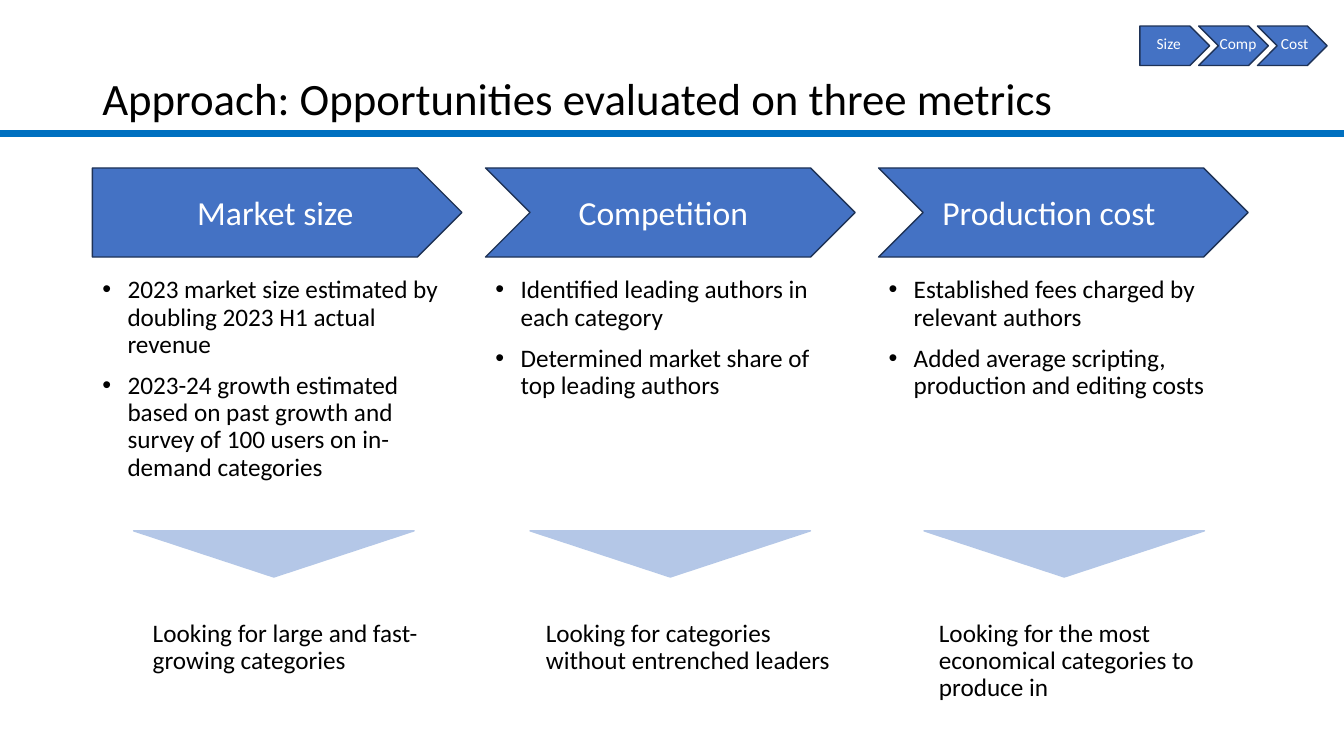
from collections import namedtuple

from lxml.etree import SubElement
from pptx import Presentation
from pptx.dml.color import RGBColor
from pptx.enum.shapes import MSO_CONNECTOR, MSO_SHAPE
from pptx.enum.text import MSO_ANCHOR
from pptx.oxml.ns import qn
from pptx.util import Inches, Pt

COLORS = {
    "rule": "0070C0",
    "step": "4472C4",
    "step_edge": "1E3256",
    "funnel": "B4C7E7",
    "ink": "000000",
    "label": "FFFFFF",
}
FONT = "Calibri"
COLUMNS, ROWS = 160, 90
CELL = Inches(7.5) / ROWS

Box = namedtuple("Box", "col row cols rows")
Metric = namedtuple("Metric", "name short methods goal name_col short_col funnel_col")

METRICS = [
    Metric("Market size", "Size",
           ["2023 market size estimated by doubling 2023 H1 actual revenue",
            "2023-24 growth estimated based on past growth and survey of "
            "100 users on in-demand categories"],
           "Looking for large and fast-growing categories", 11.3, 2, 4.9),
    Metric("Competition", "Comp",
           ["Identified leading authors in each category",
            "Determined market share of top leading authors"],
           "Looking for categories without entrenched leaders", 9.9, 2.5, 5.3),
    Metric("Production cost", "Cost",
           ["Established fees charged by relevant authors",
            "Added average scripting, production and editing costs"],
           "Looking for the most economical categories to produce in", 6.4, 2.8, 5.4),
]


def color(key):
    return RGBColor.from_string(COLORS[key])


def within(box, col, row, cols, rows):
    return Box(box.col + col, box.row + row, cols, rows)


def emu(box):
    return [round(length * CELL) for length in box]


def add_block(slide, kind, box, fill, edge):
    block = slide.shapes.add_shape(kind, *emu(box))
    block.shadow.inherit = False
    block.fill.solid()
    block.fill.fore_color.rgb = color(fill)
    block.line.color.rgb = color(edge)
    block.line.width = Pt(1)


def add_step(slide, box, index):
    kind = MSO_SHAPE.CHEVRON if index else MSO_SHAPE.PENTAGON
    add_block(slide, kind, box, "step", "step_edge")


def add_text(slide, box, lines, size, ink="ink", inset=True,
             anchor=MSO_ANCHOR.TOP, spacing=None, before=0, indent=0, bullet=False):
    frame = slide.shapes.add_textbox(*emu(box)).text_frame
    frame.word_wrap = True
    frame.vertical_anchor = anchor
    if not inset:
        frame.margin_left = frame.margin_right = 0
        frame.margin_top = frame.margin_bottom = 0
    for index, line in enumerate(lines):
        paragraph = frame.add_paragraph() if index else frame.paragraphs[0]
        paragraph.line_spacing = spacing
        paragraph.space_before = Pt(before)
        properties = paragraph._p.get_or_add_pPr()
        properties.set("marL", str(Inches(indent)))
        properties.set("indent", str(-Inches(indent) if bullet else 0))
        if bullet:
            SubElement(properties, qn("a:buFont")).set("typeface", "Arial")
            SubElement(properties, qn("a:buChar")).set("char", "•")
        run = paragraph.add_run()
        run.text = line
        run.font.name = FONT
        run.font.size = Pt(size)
        run.font.color.rgb = color(ink)


def add_heading(slide, box):
    left, top, width, height = emu(box)
    rule = slide.shapes.add_connector(
        MSO_CONNECTOR.STRAIGHT, left, top + height, left + width, top + height)
    rule.line.color.rgb = color("rule")
    rule.line.width = Pt(4.5)
    SubElement(rule._element.spPr, qn("a:effectLst"))
    add_text(slide, within(box, 11, 4.9, 138, 10.6),
             ["Approach: Opportunities evaluated on three metrics"], 32,
             anchor=MSO_ANCHOR.BOTTOM, spacing=0.9)


def add_metric(slide, box, metric, index):
    add_step(slide, within(box, 0, 0, box.cols, 10.6), index)
    add_text(slide, within(box, metric.name_col, 2.3, 31.6, 6), [metric.name], 24,
             ink="label")
    add_text(slide, within(box, 0, 12.4, box.cols, 29), metric.methods, 18,
             spacing=0.9, before=10, indent=0.25, bullet=True)
    add_block(slide, MSO_SHAPE.FLOWCHART_MERGE,
              within(box, metric.funnel_col, 43.2, 33.4, 5.5), "funnel", "funnel")
    add_text(slide, within(box, 0, 53.3, box.cols, 11.6), [metric.goal], 18,
             spacing=0.9, before=5, indent=0.5)


def add_tracker(slide, box):
    pitch = 7
    for index, metric in enumerate(METRICS):
        add_step(slide, within(box, index * pitch, 0, 8.3, box.rows), index)
    for index, metric in enumerate(METRICS):
        add_text(slide, within(box, index * pitch + metric.short_col, 1, 5, 2.8),
                 [metric.short], 11, ink="label", inset=False)


def build_approach_slide(deck):
    slide = deck.slides.add_slide(deck.slide_layouts[6])
    add_heading(slide, Box(0, 0, COLUMNS, 15.9))
    for index, metric in enumerate(METRICS):
        add_metric(slide, Box(11 + index * 46.8, 20, 44, 65), metric, index)
    add_tracker(slide, Box(135.7, 3.1, 22.3, 4.7))


deck = Presentation()
deck.slide_width = round(COLUMNS * CELL)
deck.slide_height = round(ROWS * CELL)
build_approach_slide(deck)
deck.save("out.pptx")
